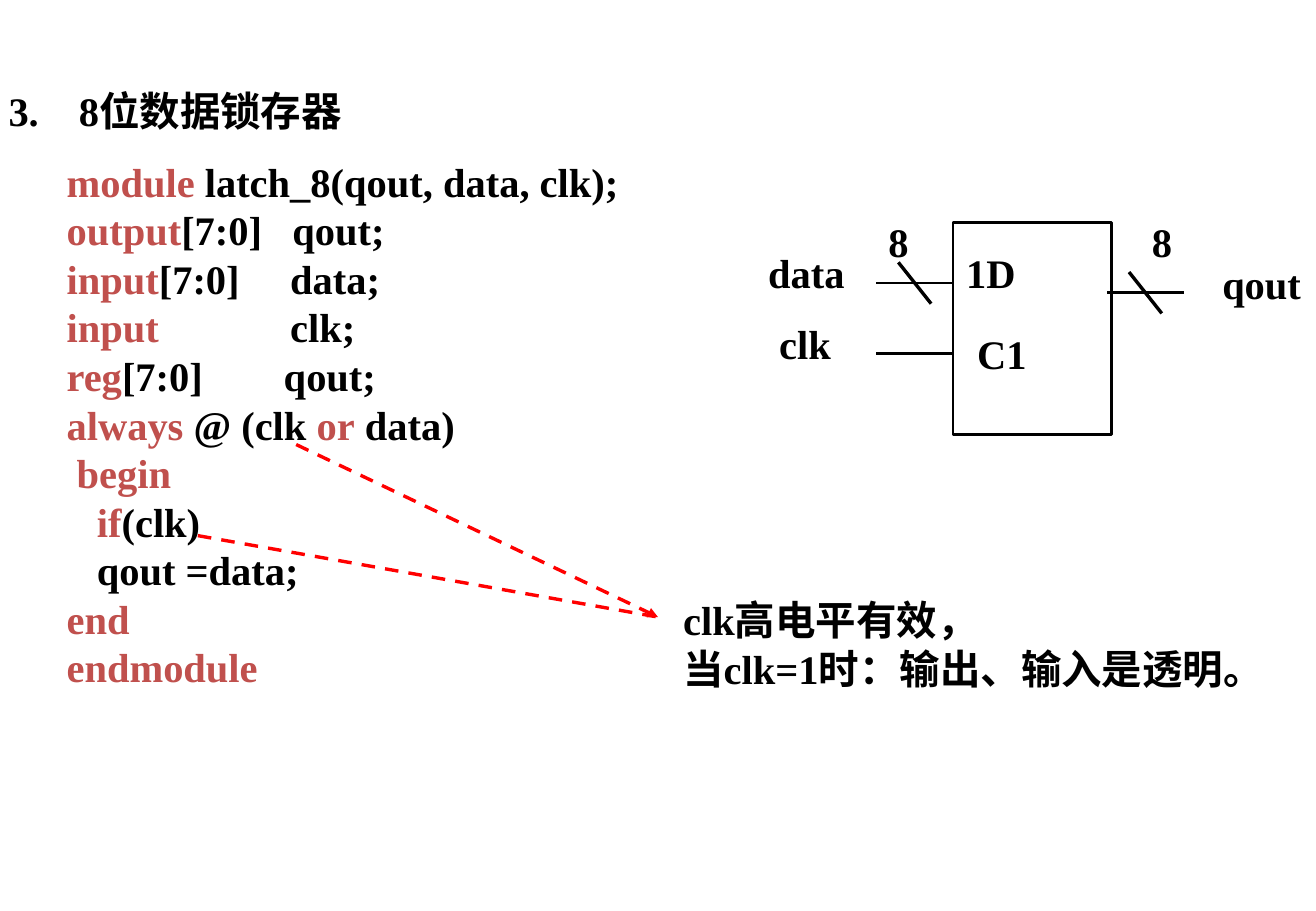
from lxml import etree
from pptx import Presentation, util as u
from pptx.dml.color import RGBColor
from pptx.enum import dml, shapes, text
from pptx.oxml.ns import qn

PX = 9144  # 100 px to the inch
BLACK, KEYWORD, RED = "000000", "C0504D", "FF0000"


def rgb(colour):
    return RGBColor.from_string(colour)


class Sheet:
    latin, east_asian, size = "Times New Roman", "Noto Sans CJK SC", 24

    def __init__(self, deck):
        self.slide = deck.slides.add_slide(deck.slide_layouts[5])

    def style(self, paragraph):
        paragraph.alignment = text.PP_ALIGN.LEFT
        font = paragraph.font
        font.size, font.bold, font.name = u.Pt(self.size), True, self.latin
        font.color.rgb = rgb(BLACK)
        properties = paragraph._p.pPr.find(qn("a:defRPr"))
        etree.SubElement(properties, qn("a:ea"), typeface=self.east_asian)

    def title(self, number, heading, x, y, w, h, tab):
        holder = self.slide.shapes.title
        holder.left, holder.top, holder.width, holder.height = (
            v * PX for v in (x, y, w, h))
        frame = holder.text_frame
        frame.vertical_anchor = text.MSO_ANCHOR.TOP
        frame.auto_size = text.MSO_AUTO_SIZE.NONE
        paragraph = frame.paragraphs[0]
        paragraph.text = f"{number}\t{heading}"
        stops = etree.SubElement(paragraph._p.get_or_add_pPr(), qn("a:tabLst"))
        etree.SubElement(stops, qn("a:tab"), pos=str(tab * PX), algn="l")
        self.style(paragraph)

    def text(self, lines, x, y, w, h, wrap=False):
        """Parts of a line between bars are keywords."""
        box = self.slide.shapes.add_textbox(x * PX, y * PX, w * PX, h * PX)
        frame = box.text_frame
        frame.word_wrap = wrap
        for i, line in enumerate(lines):
            paragraph = frame.add_paragraph() if i else frame.paragraphs[0]
            self.style(paragraph)
            for j, part in enumerate(line.split("|")):
                if part:
                    run = paragraph.add_run()
                    run.text = part
                    if j % 2:
                        run.font.color.rgb = rgb(KEYWORD)

    def block(self, x, y, w, h):
        box = self.slide.shapes.add_shape(
            shapes.MSO_SHAPE.RECTANGLE, x * PX, y * PX, w * PX, h * PX)
        box.shadow.inherit = False
        box.fill.background()
        box.line.color.rgb = rgb(BLACK)
        box.line.width = u.Pt(1.75)

    def line(self, x1, y1, x2, y2, width=2, colour=BLACK, dashed=False, arrow=False):
        link = self.slide.shapes.add_connector(
            shapes.MSO_CONNECTOR.STRAIGHT, x1 * PX, y1 * PX, x2 * PX, y2 * PX)
        link.line.color.rgb = rgb(colour)
        link.line.width = u.Pt(width)
        if dashed:
            link.line.dash_style = dml.MSO_LINE.DASH
        if arrow:
            etree.SubElement(link.line._ln, qn("a:tailEnd"), type="triangle")
        etree.SubElement(link._element.spPr, qn("a:effectLst"))


def main():
    deck = Presentation()
    deck.slide_width, deck.slide_height = 1084 * PX, 750 * PX
    sheet = Sheet(deck)

    # Heading and Verilog listing
    sheet.title("3.", "8位数据锁存器", -3, 66, 400, 50, tab=58)
    sheet.text([
        "|module| latch_8(qout, data, clk);",
        "|output|[7:0]   qout;",
        "|input|[7:0]     data;",
        "|input|             clk;",
        "|reg|[7:0]        qout;",
        "|always| @ (clk |or| data)",
        " |begin|",
        "   |if|(clk)",
        "   qout =data;",
        "|end|",
        "|endmodule|",
    ], 45, 124, 569, 450, wrap=True)

    # Latch symbol with its pins
    sheet.block(785, 183, 131, 175)
    for pin_x, pin_y in ((722, 291), (722, 233), (912, 241)):
        sheet.line(pin_x + 63, pin_y, pin_x, pin_y, width=1.75)

    # Bus width marks
    for slash_x, slash_y in ((930, 224), (740, 216)):
        sheet.line(slash_x, slash_y, slash_x + 27, slash_y + 34)

    # Pin names and bus widths, in boxes with room to spare
    for label, x, y, w in (
        ("C1", 795, 266, 70), ("1D", 786, 199, 70), ("qout", 997, 208, 87),
        ("data", 623, 199, 90), ("clk", 632, 258, 75),
        ("8", 722, 174, 45), ("8", 939, 174, 45),
    ):
        sheet.text([label], x, y, w, 50, wrap=True)

    # Arrows from the clock to its explanation
    sheet.line(244, 366, 542, 508, colour=RED, dashed=True, arrow=True)
    sheet.line(163, 441, 542, 508, colour=RED, dashed=True)
    sheet.text(["clk高电平有效，", "当clk=1时：输出、输入是透明。"],
               553, 485, 514, 90, wrap=True)

    deck.save("out.pptx")


if __name__ == "__main__":
    main()
